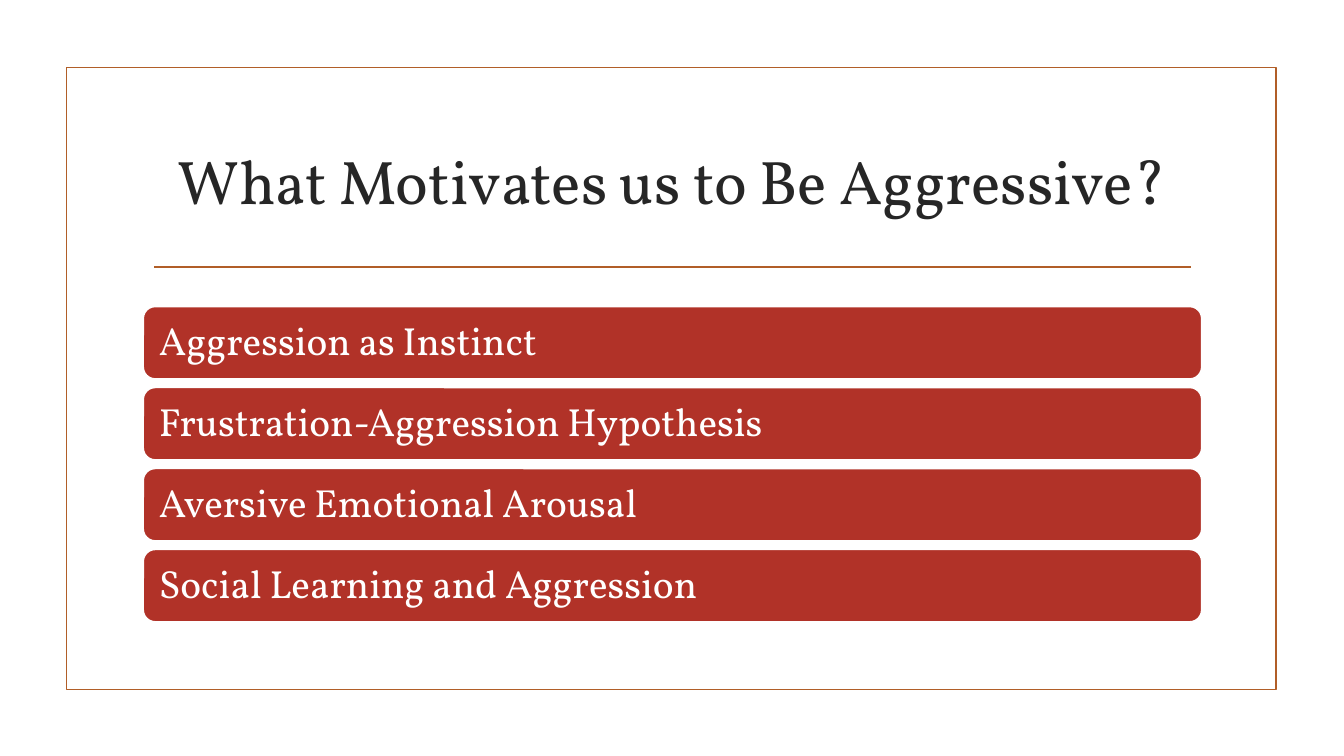
from pptx import Presentation
from pptx.dml.color import RGBColor
from pptx.enum.shapes import MSO_CONNECTOR, MSO_SHAPE
from pptx.enum.text import MSO_ANCHOR, MSO_AUTO_SIZE, PP_ALIGN
from pptx.oxml.ns import qn
from pptx.util import Inches, Pt
from lxml.etree import SubElement

WHITE = RGBColor(0xFF, 0xFF, 0xFF)
ORANGE = RGBColor(0xB1, 0x5E, 0x28)
RED = RGBColor(0xB1, 0x32, 0x28)
DARK = RGBColor(0x26, 0x26, 0x26)

MOTIVES = [
    "Aggression as Instinct",
    "Frustration-Aggression Hypothesis",
    "Aversive Emotional Arousal",
    "Social Learning and Aggression",
]


class SlideBuilder:
    font = "Vollkorn"
    line_width = Pt(1.25)

    def __init__(self, slide):
        self.slide = slide

    def place(self, shape, left, top, width, height):
        shape.left, shape.top = Inches(left), Inches(top)
        shape.width, shape.height = Inches(width), Inches(height)

    def set_text(self, shape, text, size, color, align, spacing=1.0):
        frame = shape.text_frame
        frame.text = text
        frame.word_wrap = True
        frame.auto_size = MSO_AUTO_SIZE.NONE
        frame.vertical_anchor = MSO_ANCHOR.MIDDLE
        para = frame.paragraphs[0]
        para.alignment = align
        para.line_spacing = spacing
        span = para.runs[0]
        span.font.name = self.font
        span.font.size = Pt(size)
        span.font.color.rgb = color

    def title(self, text, *area):
        title = self.slide.shapes.title
        self.place(title, *area)
        self.set_text(title, text, 44, DARK, PP_ALIGN.CENTER)

    def box(self, kind, line, fill, *area):
        box = self.slide.shapes.add_shape(kind, *map(Inches, area))
        box.shadow.inherit = False
        box.line.color.rgb = line
        box.line.width = self.line_width
        if fill is None:
            box.fill.background()
        else:
            box.fill.solid()
            box.fill.fore_color.rgb = fill
        return box

    def rule(self, left, right, top):
        rule = self.slide.shapes.add_connector(
            MSO_CONNECTOR.STRAIGHT, *map(Inches, (left, top, right, top)))
        rule.line.color.rgb = ORANGE
        rule.line.width = self.line_width
        SubElement(rule._element.spPr, qn("a:effectLst"))

    def bar(self, text, *area):
        bar = self.box(MSO_SHAPE.ROUNDED_RECTANGLE, WHITE, RED, *area)
        self.set_text(bar, text, 28, WHITE, PP_ALIGN.LEFT, 0.9)
        frame = bar.text_frame
        frame.margin_left = frame.margin_right = Inches(0.12)
        frame.margin_top = frame.margin_bottom = Inches(0.12)


def main():
    deck = Presentation()
    deck.slide_width, deck.slide_height = Inches(13.33), Inches(7.5)
    page = SlideBuilder(deck.slides.add_slide(deck.slide_layouts[5]))

    # Frame and rule under the title
    page.box(MSO_SHAPE.RECTANGLE, ORANGE, None, 0.66, 0.67, 12, 6.17)
    page.rule(1.53, 11.81, 2.65)

    # Title
    page.title("What Motivates us to Be Aggressive?", 1.42, 1.07, 10.5, 1.43)

    # Stacked bars, one for each motive
    first_top, last_top = 3.04, 5.45
    step = (last_top - first_top) / (len(MOTIVES) - 1)
    for index, motive in enumerate(MOTIVES):
        page.bar(motive, 1.42, first_top + index * step, 10.5, 0.72)

    deck.save("out.pptx")


if __name__ == "__main__":
    main()
